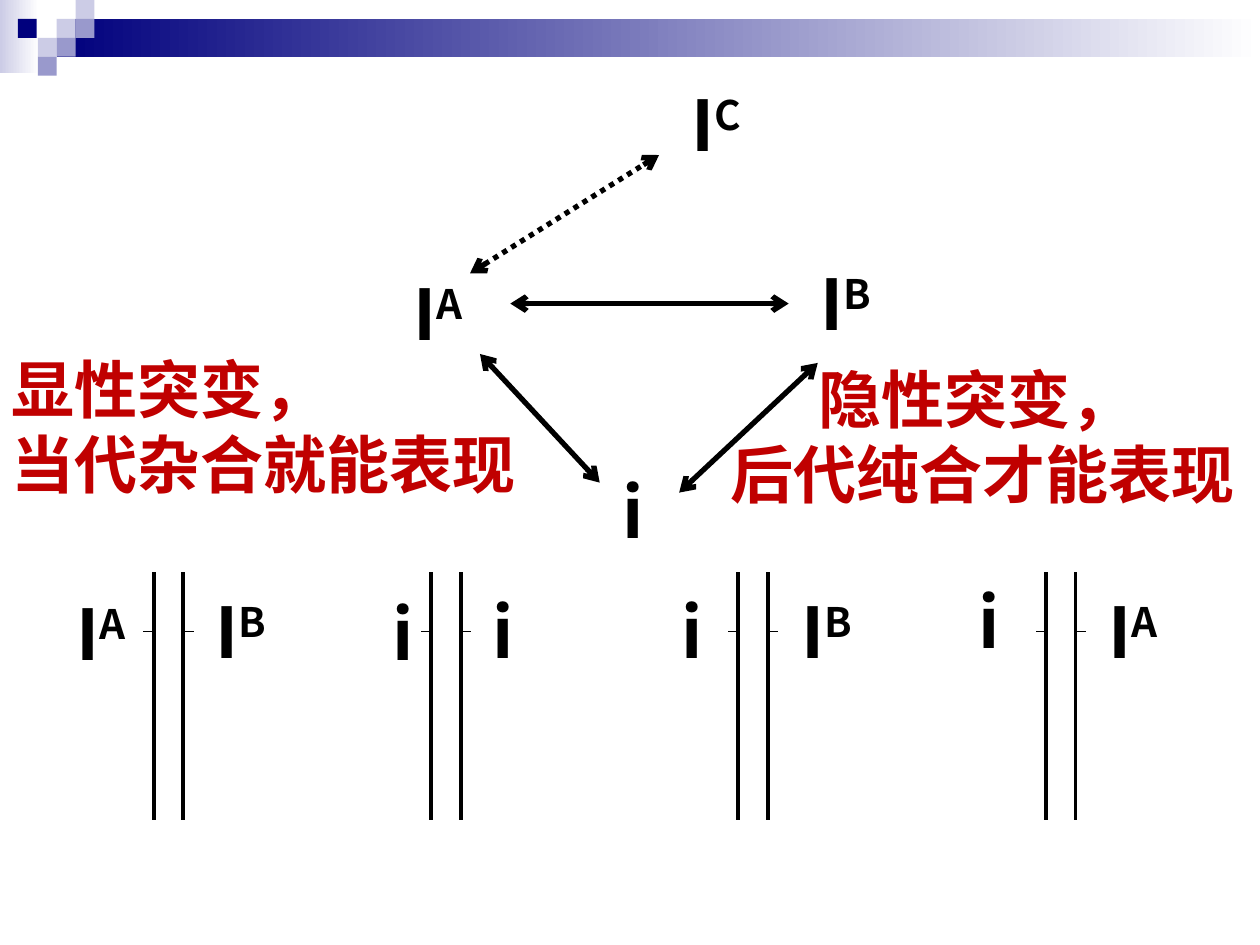
import pptx
import pptx.dml.color
import pptx.enum.dml
import pptx.enum.shapes
import pptx.enum.text
import pptx.oxml.ns
import pptx.util
from lxml import etree

Pt = pptx.util.Pt
qn = pptx.oxml.ns.qn

FONT = "Noto Sans CJK SC"
COLORS = {"navy": "00007D", "pale": "CCCCE6", "lilac": "9999CC",
          "white": "FFFFFF", "black": "000000", "red": "C00000"}

# Header bands: left, top, width, height, start colour (all fade to white)
BANDS = [(0, 0, 22.3, 41.8, "pale"), (32.4, 10.8, 687.6, 21.6, "navy")]
TILE = 10.8
# Header tiles: left, top, colour
TILES = [(32.4, 10.8, "pale"), (43.2, 0, "pale"), (43.2, 10.8, "lilac"),
         (21.6, 21.6, "pale"), (10.2, 10.8, "navy"),
         (32.4, 21.6, "lilac"), (21.6, 32.4, "lilac")]

# Allele labels: base letter, superscript, left, top, width, height
ALLELES = [
    ("I", "C", 388.1, 43.2, 73.4, 55.4),
    ("I", "A", 229, 151.2, 51.1, 103.7),
    ("I", "B", 461.5, 145.4, 61.2, 55.4),
    ("i", "", 348.5, 264.2, 45.4, 55.4),
    ("I", "A", 36.7, 334.1, 51.1, 103.7),
    ("I", "B", 115.9, 332.6, 79.2, 55.4),
    ("i", "", 217.4, 334.1, 51.1, 55.4),
    ("i", "", 274.3, 332.6, 79.2, 55.4),
    ("i", "", 382.3, 332.6, 51.1, 55.4),
    ("I", "B", 450.7, 332.6, 79.2, 55.4),
    ("i", "", 552.2, 326.9, 51.1, 55.4),
    ("I", "A", 626.4, 332.6, 79.2, 55.4),
]

# Mutation arrows: start x, start y, end x, end y, dotted
MUTATIONS = [
    (291.6, 173.5, 450.7, 173.5, False),
    (274.3, 202.3, 342.7, 275.8, False),
    (467.3, 207.4, 388.1, 281.5, False),
    (268.6, 156.2, 376.6, 88.6, True),
]

# Chromosome pairs: x of each left strand
PAIRS = [87.8, 246.2, 421.9, 597.6]
STRAND_GAP, STRAND_TOP, STRAND_BOTTOM = 17, 326.9, 468.7
LOCUS_Y, LOCUS_LENGTH = 360.7, 5.8

# Notes: left, top, first-line indent, lines
NOTES = [(-0.7, 196.6, 0, ["显性突变，", "当代杂合就能表现"]),
         (410.4, 202.3, 50, ["隐性突变，", "后代纯合才能表现"])]
NOTE_WIDTH, NOTE_HEIGHT = 309.6, 93.6


def rgb(name):
    return pptx.dml.color.RGBColor.from_string(COLORS[name])


def add_rectangle(slide, left, top, width, height, color, fade=False):
    shape = slide.shapes.add_shape(
        pptx.enum.shapes.MSO_SHAPE.RECTANGLE,
        Pt(left), Pt(top), Pt(width), Pt(height))
    shape.shadow.inherit = False
    shape.line.fill.background()
    if fade:
        shape.fill.gradient()
        shape.fill.gradient_angle = 0
        for stop, name in zip(shape.fill.gradient_stops, (color, "white")):
            stop.color.rgb = rgb(name)
    else:
        shape.fill.solid()
        shape.fill.fore_color.rgb = rgb(color)


def add_line(slide, x1, y1, x2, y2, weight, arrows=False, dotted=False):
    connector = slide.shapes.add_connector(
        pptx.enum.shapes.MSO_CONNECTOR.STRAIGHT,
        Pt(x1), Pt(y1), Pt(x2), Pt(y2))
    connector.line.color.rgb = rgb("black")
    connector.line.width = Pt(weight)
    if dotted:
        connector.line.dash_style = pptx.enum.dml.MSO_LINE.ROUND_DOT
    if arrows:
        line = connector.line._get_or_add_ln()
        for end in ("a:headEnd", "a:tailEnd"):
            etree.SubElement(line, qn(end)).set("type", "arrow")
    etree.SubElement(connector._element.spPr, qn("a:effectLst"))


def add_text_box(slide, left, top, width, height):
    box = slide.shapes.add_textbox(Pt(left), Pt(top), Pt(width), Pt(height))
    box.text_frame.word_wrap = True
    box.text_frame.auto_size = pptx.enum.text.MSO_AUTO_SIZE.NONE
    return box.text_frame


def format_paragraph(paragraph, size, color):
    paragraph.line_spacing = Pt(size * 1.2)
    for run in paragraph.runs:
        run.font.size = Pt(size)
        run.font.bold = True
        run.font.name = FONT
        run.font.color.rgb = rgb(color)
        east_asian = etree.SubElement(run.font._element, qn("a:ea"))
        east_asian.set("typeface", FONT)


def main():
    presentation = pptx.Presentation()
    presentation.slide_width, presentation.slide_height = Pt(720), Pt(540)
    slide = presentation.slides.add_slide(presentation.slide_layouts[6])

    # Header decoration
    for left, top, width, height, color in BANDS:
        add_rectangle(slide, left, top, width, height, color, fade=True)
    for left, top, color in TILES:
        add_rectangle(slide, left, top, TILE, TILE, color)

    # Mutations between alleles
    for x1, y1, x2, y2, dotted in MUTATIONS:
        add_line(slide, x1, y1, x2, y2, 3, arrows=True, dotted=dotted)

    # Chromosome pairs with the locus marked on the outer sides
    for left in PAIRS:
        for x, side in ((left, -1), (left + STRAND_GAP, 1)):
            add_line(slide, x, STRAND_TOP, x, STRAND_BOTTOM, 2.25)
            add_line(slide, x, LOCUS_Y, x + side * LOCUS_LENGTH, LOCUS_Y, 0.75)

    # Allele labels
    for letter, superscript, *place in ALLELES:
        paragraph = add_text_box(slide, *place).paragraphs[0]
        paragraph.text = letter
        if superscript:
            run = paragraph.add_run()
            run.text = superscript
            run.font._element.set("baseline", "30000")
        format_paragraph(paragraph, 40, "black")

    # Notes on dominant and recessive mutation
    for left, top, indent, lines in NOTES:
        text_frame = add_text_box(slide, left, top, NOTE_WIDTH, NOTE_HEIGHT)
        text_frame.text = "\n".join(lines)
        for paragraph in text_frame.paragraphs:
            format_paragraph(paragraph, 36, "red")
        if indent:
            properties = text_frame.paragraphs[0]._p.get_or_add_pPr()
            properties.set("marL", str(Pt(indent)))

    presentation.save("out.pptx")


if __name__ == "__main__":
    main()
